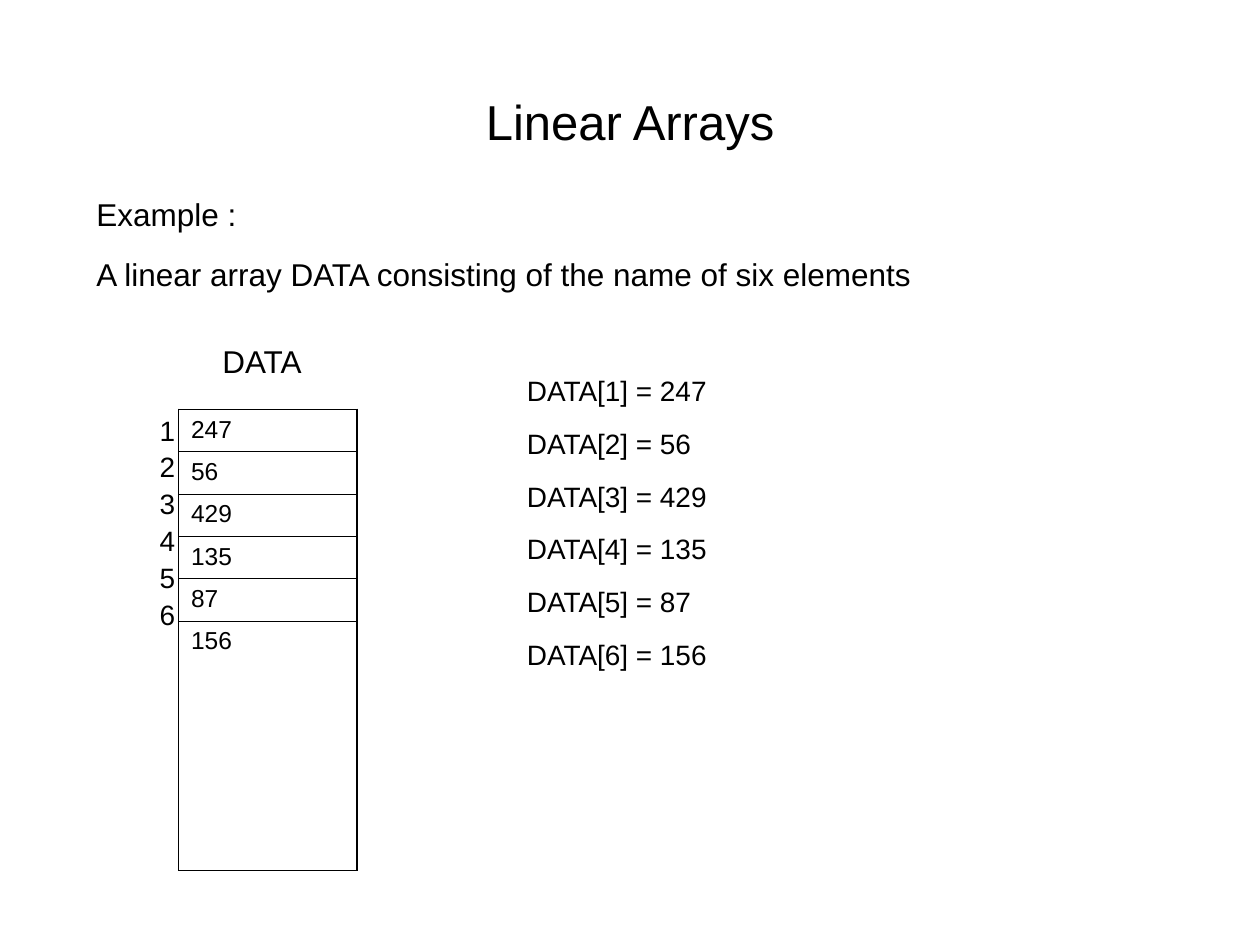
import pptx
import pptx.dml.color
import pptx.enum.text
import pptx.oxml.ns
import pptx.util
from lxml import etree

Pt = pptx.util.Pt
ALIGN = pptx.enum.text.PP_ALIGN
ANCHOR = pptx.enum.text.MSO_ANCHOR
BLACK = pptx.dml.color.RGBColor(0, 0, 0)
NO_GRID_STYLE = "{2D5ABB26-0587-4C30-8999-92F81FD0307C}"
THIN, THICK = 0.45, 1.08
VALUES = [247, 56, 429, 135, 87, 156]


def write_text(tf, lines, size, gap=0, align=ALIGN.LEFT):
    for i, line in enumerate(lines):
        p = tf.paragraphs[0] if i == 0 else tf.add_paragraph()
        p.alignment = align
        if i:
            p.space_before = Pt(gap)
        r = p.add_run()
        r.text = line
        r.font.name = "Arial"
        r.font.size = Pt(size)
        r.font.color.rgb = BLACK


def add_text(slide, box, lines, anchor=ANCHOR.TOP, **fmt):
    tf = slide.shapes.add_textbox(*map(Pt, box)).text_frame
    tf.word_wrap = True
    tf.vertical_anchor = anchor
    write_text(tf, lines, **fmt)


def set_borders(cell, **widths):
    tcPr = cell._tc.get_or_add_tcPr()
    for i, (side, width) in enumerate(widths.items()):
        ln = etree.Element(pptx.oxml.ns.qn(f"a:ln{side}"), w=str(Pt(width)))
        fill = etree.SubElement(ln, pptx.oxml.ns.qn("a:solidFill"))
        etree.SubElement(fill, pptx.oxml.ns.qn("a:srgbClr"), val=str(BLACK))
        tcPr.insert(i, ln)


def fill_cell(cell, lines, **fmt):
    cell.fill.background()
    cell.margin_left = cell.margin_right = Pt(7.2)
    cell.margin_top = cell.margin_bottom = Pt(3.6)
    write_text(cell.text_frame, lines, **fmt)


def add_array_table(slide, left, top, col_widths, row_heights):
    last = len(VALUES) - 1
    frame = slide.shapes.add_table(len(VALUES), 2, Pt(left), Pt(top),
                                   Pt(sum(col_widths)), Pt(sum(row_heights)))
    table = frame.table
    table.first_row = table.horz_banding = False
    table._tbl.tblPr.find(pptx.oxml.ns.qn("a:tableStyleId")).text = NO_GRID_STYLE
    for column, width in zip(table.columns, col_widths):
        column.width = Pt(width)
    for row, height in zip(table.rows, row_heights):
        row.height = Pt(height)
    table.cell(0, 0).merge(table.cell(last, 0))
    indexes = [str(i + 1) for i in range(len(VALUES))]
    fill_cell(table.cell(0, 0), indexes, size=16, gap=3.3)
    set_borders(table.cell(0, 0), R=THIN)
    for i, value in enumerate(VALUES):
        cell = table.cell(i, 1)
        fill_cell(cell, [str(value)], size=14)
        set_borders(cell, L=THIN, R=THICK, T=THICK if i == 0 else THIN,
                    B=THICK if i == last else THIN)


def main():
    """Build the linear array slide and save it."""
    prs = pptx.Presentation()
    prs.slide_width, prs.slide_height = Pt(720), Pt(540)
    slide = prs.slides.add_slide(prs.slide_layouts[6])
    add_text(slide, (36, 24, 648, 90), ["Linear Arrays"], size=28,
             align=ALIGN.CENTER, anchor=ANCHOR.MIDDLE)
    add_text(slide, (48, 108, 648, 62),
             ["Example :", "A linear array DATA consisting of the name of six elements"],
             size=18, gap=12.4)
    add_text(slide, (294, 210, 270, 173),
             [f"DATA[{i}] = {value}" for i, value in enumerate(VALUES, 1)],
             size=16, gap=10.9)
    add_array_table(slide, 84, 234, [18, 102], [24.2] * 5 + [142.6])
    add_text(slide, (120, 192, 144, 29), ["DATA"], size=18)
    prs.save("out.pptx")


if __name__ == "__main__":
    main()
